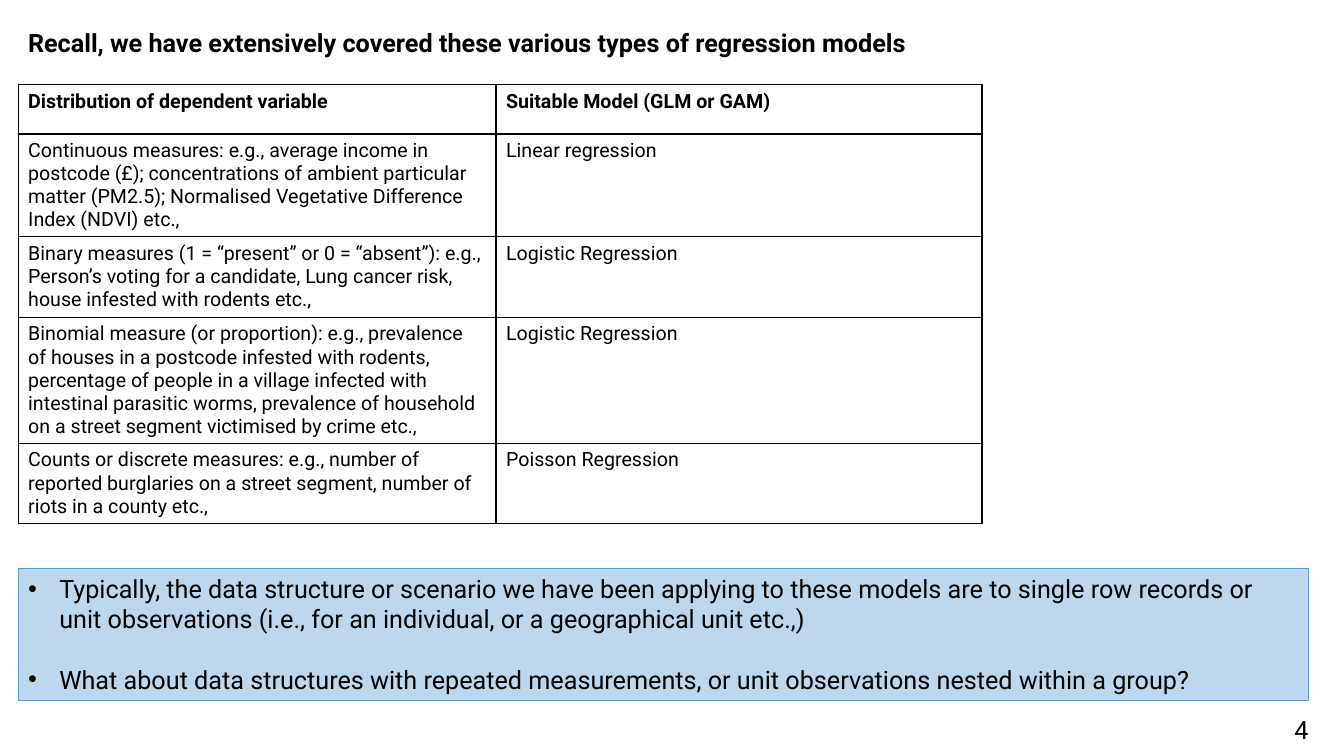
import pptx
import pptx.util
import pptx.dml.color
import pptx.enum.shapes
import pptx.enum.text
import pptx.oxml
import pptx.oxml.ns
from pptx.util import Inches

BLACK = pptx.dml.color.RGBColor(0x00, 0x00, 0x00)
PALE = pptx.dml.color.RGBColor(0xBD, 0xD7, 0xEE)
BLUE = pptx.dml.color.RGBColor(0x5B, 0x9B, 0xD5)
LEFT = Inches(0.18)


def write(para, text, size, bold=False):
    run = para.add_run()
    run.text = text
    run.font.name = "Roboto"
    run.font.size = pptx.util.Pt(size)
    run.font.bold = bold
    run.font.color.rgb = BLACK


def outline(cell):
    """Draw a thin black border on all four sides of a table cell."""
    props = cell._tc.get_or_add_tcPr()
    for place, side in enumerate(("lnL", "lnR", "lnT", "lnB")):
        props.insert(place, pptx.oxml.parse_xml(
            f'<a:{side} {pptx.oxml.ns.nsdecls("a")} w="12700"><a:solidFill>'
            f'<a:srgbClr val="{BLACK}"/></a:solidFill></a:{side}>'))


prs = pptx.Presentation()
prs.slide_width = Inches(13.33)
prs.slide_height = Inches(7.5)
slide = prs.slides.add_slide(prs.slide_layouts[6])
shapes = slide.shapes

# Table of models
models = [
    ("Distribution of dependent variable", "Suitable Model (GLM or GAM)"),
    ("Continuous measures: e.g., average income in postcode (£); concentrations "
     "of ambient particular matter (PM2.5); Normalised Vegetative Difference "
     "Index (NDVI) etc.,", "Linear regression"),
    ("Binary measures (1 = “present” or 0 = “absent”): e.g., Person’s voting for "
     "a candidate, Lung cancer risk, house infested with rodents etc.,",
     "Logistic Regression"),
    ("Binomial measure (or proportion): e.g., prevalence of houses in a postcode "
     "infested with rodents, percentage of people in a village infected with "
     "intestinal parasitic worms, prevalence of household on a street segment "
     "victimised by crime etc.,", "Logistic Regression"),
    ("Counts or discrete measures: e.g., number of reported burglaries on a "
     "street segment, number of riots in a county etc.,", "Poisson Regression"),
]
widths = [4.74, 4.82]
heights = [0.49, 1.02, 0.8, 1.25, 0.79]
table = shapes.add_table(len(models), 2, LEFT, Inches(0.84),
                         Inches(sum(widths)), Inches(sum(heights))).table
table.horz_banding = False
for col, width in zip(table.columns, widths):
    col.width = Inches(width)
for r, (row, height) in enumerate(zip(models, heights)):
    table.rows[r].height = Inches(height)
    for c, text in enumerate(row):
        cell = table.cell(r, c)
        cell.fill.background()
        outline(cell)
        write(cell.text_frame.paragraphs[0], text, 14, r == 0)

# Title and page number
labels = [
    ("Recall, we have extensively covered these various types of regression "
     "models", 0.18, 0.22, 11.44, 0.4, True),
    ("4", 12.74, 7.04, 0.59, 0.16, False),
]
for text, x, y, width, height, bold in labels:
    box = shapes.add_textbox(Inches(x), Inches(y), Inches(width), Inches(height))
    box.text_frame.word_wrap = True
    write(box.text_frame.paragraphs[0], text, 18, bold)

# Panel of points
panel = shapes.add_shape(pptx.enum.shapes.MSO_SHAPE.RECTANGLE,
                         LEFT, Inches(5.64), Inches(12.8), Inches(1.31))
panel.shadow.inherit = False
panel.fill.solid()
panel.fill.fore_color.rgb = PALE
panel.line.color.rgb = BLUE
panel.line.width = pptx.util.Pt(0.75)
frame = panel.text_frame
frame.word_wrap = True
frame.vertical_anchor = pptx.enum.text.MSO_ANCHOR.TOP
points = [
    "Typically, the data structure or scenario we have been applying to these "
    "models are to single row records or unit observations (i.e., for an "
    "individual, or a geographical unit etc.,)",
    "What about data structures with repeated measurements, or unit observations "
    "nested within a group?",
]
for i, text in enumerate(points):
    para = frame.add_paragraph() if i else frame.paragraphs[0]
    para.alignment = pptx.enum.text.PP_ALIGN.LEFT
    if i:
        para.space_before = pptx.util.Pt(21.5)
    props = para._p.get_or_add_pPr()
    props.set("marL", str(Inches(0.31)))
    props.set("indent", str(-Inches(0.31)))
    ns = pptx.oxml.ns.nsdecls("a")
    props.append(pptx.oxml.parse_xml(f'<a:buFont {ns} typeface="Arial"/>'))
    props.append(pptx.oxml.parse_xml(f'<a:buChar {ns} char="•"/>'))
    write(para, text, 18)

prs.save("out.pptx")
